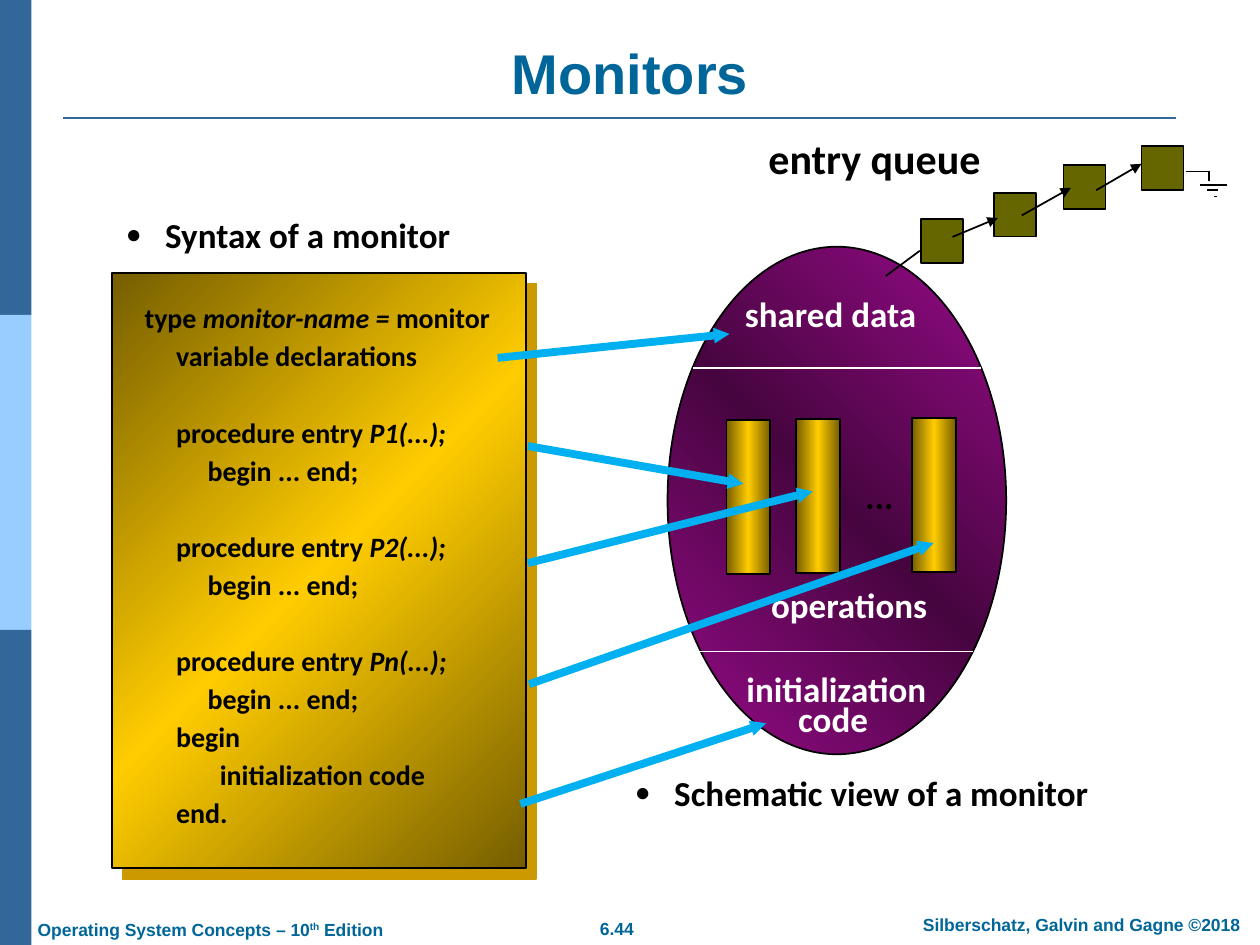
from copy import deepcopy
from dataclasses import dataclass

from lxml import etree
from pptx import Presentation
from pptx.dml.color import RGBColor
from pptx.enum import shapes, text
from pptx.oxml import ns
from pptx.util import Pt


@dataclass(frozen=True)
class Theme:
    heading: str = "006699"
    band: str = "336699"
    band_light: str = "99CCFF"
    ink: str = "000000"
    white: str = "FFFFFF"
    gold: tuple = ("765E00", "FFCC00", "765E00")
    purple: tuple = ("990B8A", "470540", "990B8A")
    shadow: str = "CC9900"
    olive: str = "666600"
    pointer: str = "00B0F0"
    head_font: str = "Arial"
    body_font: str = "Calibri"
    title_size: int = 32
    queue_size: int = 24
    label_size: int = 20
    code_size: int = 16
    footer_size: int = 10


THEME = Theme()
ALIGN = text.PP_ALIGN
BULLET_INDENT = 22.5

# (left indent, starts a new block, plain and italic parts in turn)
CODE = [
    (0, False, ["type ", "monitor-name = ", "monitor"]),
    (18, False, ["variable declarations"]),
    (18, True, ["procedure entry ", "P1(...);"]),
    (36, False, ["begin ... end;"]),
    (18, True, ["procedure entry ", "P2(...);"]),
    (36, False, ["begin ... end;"]),
    (18, True, ["procedure entry ", "Pn(...);"]),
    (36, False, ["begin ... end;"]),
    (18, False, ["begin"]),
    (43, False, ["initialization code"]),
    (18, False, ["end."]),
]


def sub(parent, tag, **attributes):
    return etree.SubElement(parent, ns.qn(tag), attributes)


def rgb(color):
    return RGBColor.from_string(color)


def add_block(slide, kind, box, fill, angle=0, outline=THEME.ink):
    """Add a shape; a tuple of colours as fill makes an even gradient."""
    block = slide.shapes.add_shape(kind, *map(Pt, box))
    block.shadow.inherit = False
    if isinstance(fill, tuple):
        block.fill.gradient()
        block.fill.gradient_angle = angle
        stops = block._element.spPr.find(".//" + ns.qn("a:gsLst"))
        stops.append(deepcopy(stops[0]))
        for i, (stop, color) in enumerate(zip(block.fill.gradient_stops, fill)):
            stop.color.rgb = rgb(color)
            stop.position = i / (len(fill) - 1)
    else:
        block.fill.solid()
        block.fill.fore_color.rgb = rgb(fill)
    if outline:
        block.line.color.rgb = rgb(outline)
        block.line.width = Pt(1)
    else:
        block.line.fill.background()
    return block


def add_hard_shadow(block, color, distance):
    effects = block._element.spPr.find(ns.qn("a:effectLst"))
    shadow = sub(effects, "a:outerShdw", blurRad="0", dist=str(Pt(distance)),
                 dir="2700000", algn="ctr", rotWithShape="0")
    sub(shadow, "a:srgbClr", val=color)


def add_line(slide, ends, color=THEME.ink, width=1, head=None):
    """Add a straight line; head is the arrowhead size, sm, med or lg."""
    line = slide.shapes.add_connector(shapes.MSO_CONNECTOR.STRAIGHT, *map(Pt, ends))
    line.line.color.rgb = rgb(color)
    line.line.width = Pt(width)
    if head:
        sub(line.line._get_or_add_ln(), "a:tailEnd", type="triangle", w=head, len=head)
    sub(line._element.spPr, "a:effectLst")


def style(paragraph, size, color, face):
    font = paragraph.font
    font.size, font.bold, font.name = Pt(size), True, face
    font.color.rgb = rgb(color)


def add_frame(slide, box):
    frame = slide.shapes.add_textbox(*map(Pt, box)).text_frame
    frame.word_wrap = True
    return frame


def add_heading(slide, box, words, size, align=ALIGN.CENTER):
    frame = add_frame(slide, box)
    frame.vertical_anchor = text.MSO_ANCHOR.BOTTOM
    paragraph = frame.paragraphs[0]
    paragraph.alignment = align
    style(paragraph, size, THEME.heading, THEME.head_font)
    for i, part in enumerate(words):
        run = paragraph.add_run()
        run.text = part
        if i == 1:  # the ordinal suffix is raised
            run._r.get_or_add_rPr().set("baseline", "30000")


def add_label(slide, box, words, color=THEME.ink, size=THEME.label_size, bullet=False):
    paragraph = add_frame(slide, box).paragraphs[0]
    paragraph.text = words
    paragraph.line_spacing = 0.9
    style(paragraph, size, color, THEME.body_font)
    if bullet:
        properties = paragraph._p.get_or_add_pPr()
        properties.set("marL", str(Pt(BULLET_INDENT)))
        properties.set("indent", str(-Pt(BULLET_INDENT)))
        marks = [sub(properties, "a:buSzPct", val="75000"),
                 sub(properties, "a:buFont", typeface=THEME.head_font),
                 sub(properties, "a:buChar", char="●")]
        default_run = properties.find(ns.qn("a:defRPr"))
        for mark in marks:
            default_run.addprevious(mark)


def add_code(slide, box):
    frame = add_frame(slide, box)
    for i, (indent, new_block, parts) in enumerate(CODE):
        line = frame.add_paragraph() if i else frame.paragraphs[0]
        line.line_spacing = 0.9
        line.space_before = Pt(26.4 if new_block else 4.4 if i else 0)
        line._p.get_or_add_pPr().set("marL", str(Pt(indent)))
        style(line, THEME.code_size, THEME.ink, THEME.body_font)
        for j, part in enumerate(parts):
            run = line.add_run()
            run.text = part
            if j % 2:
                run.font.italic = True


def add_page_furniture(slide):
    for i, color in enumerate([THEME.band, THEME.band_light, THEME.band]):
        add_block(slide, shapes.MSO_SHAPE.RECTANGLE, (0, 180 * i, 18, 180), color, outline=None)
    add_line(slide, (36, 67.5, 672, 67.5), THEME.band, 1.5)
    add_heading(slide, (36, 18.5, 648, 45.5), ["Monitors"], THEME.title_size)
    size = THEME.footer_size
    add_heading(slide, (332, 520.5, 41, 19.5), ["6.44"], size)
    add_heading(slide, (511, 518.5, 214, 19.5), ["Silberschatz, Galvin and Gagne ©2018"], size)
    add_heading(slide, (14.4, 521, 217, 19.5),
                ["Operating System Concepts – 10", "th", " Edition"], size, ALIGN.LEFT)


def add_monitor(slide):
    add_block(slide, shapes.MSO_SHAPE.OVAL, (381.5, 141, 193.5, 290), THEME.purple, 45)
    for left, top in [(415.2, 240), (455, 239.5), (521.3, 239)]:
        add_block(slide, shapes.MSO_SHAPE.RECTANGLE, (left, top, 25, 88), THEME.gold)
    for left, right, y in [(396, 560.5, 210.3), (399.5, 556, 372.3)]:
        add_line(slide, (left, y, right, y), THEME.white)
    for left, top, width, words in [
        (418.5, 166.5, 118, "shared data"), (433.5, 332.5, 110, "operations"),
        (419.5, 380.5, 124, "initialization"), (449, 397.5, 60, "code"),
    ]:
        add_label(slide, (left, top, width, 29), words, THEME.white)
    add_label(slide, (487.5, 270.5, 33, 29), "...")


def add_entry_queue(slide):
    add_label(slide, (432, 75.5, 142, 33), "entry queue", size=THEME.queue_size)
    for left, top in [(526.3, 125.3), (568, 110.2), (607.7, 94.3), (652.3, 83.5)]:
        add_block(slide, shapes.MSO_SHAPE.RECTANGLE, (left, top, 24, 25), THEME.olive)
    for link in [(544.3, 135.4, 570.2, 124.6), (583.9, 123.1, 612, 107.3),
                 (626.4, 108.7, 652.3, 93.6)]:
        add_line(slide, link, head="med")
    ground = [(677.5, 98, 691, 98), (691, 98, 691, 103.7), (686, 105.8, 701.3, 105.8),
              (689.8, 108.7, 696.2, 108.7), (694, 112.3, 695.5, 112.3)]
    for stroke in [(506.2, 157.7, 525.6, 143.3)] + ground:
        add_line(slide, stroke)


def main():
    deck = Presentation()
    deck.slide_width, deck.slide_height = Pt(720), Pt(540)
    slide = deck.slides.add_slide(deck.slide_layouts[6])

    add_page_furniture(slide)
    panel = add_block(slide, shapes.MSO_SHAPE.RECTANGLE, (64, 156.2, 236.5, 340), THEME.gold, 315)
    add_hard_shadow(panel, THEME.shadow, 8.5)
    add_code(slide, (75.6, 170.6, 219, 327))
    add_monitor(slide)
    add_entry_queue(slide)
    add_label(slide, (64.8, 121, 211, 29), "Syntax of a monitor", bullet=True)
    add_label(slide, (355.7, 440, 286, 29), "Schematic view of a monitor", bullet=True)
    for pointer in [(301.7, 254.9, 424.8, 276.5), (301.7, 321.8, 464.4, 280.8),
                    (302.4, 391, 533.5, 310.3), (284.4, 204.5, 416.9, 190.8),
                    (297.4, 459.4, 437.8, 413.3)]:
        add_line(slide, pointer, THEME.pointer, 4.5, "sm")

    deck.save("out.pptx")


if __name__ == "__main__":
    main()
